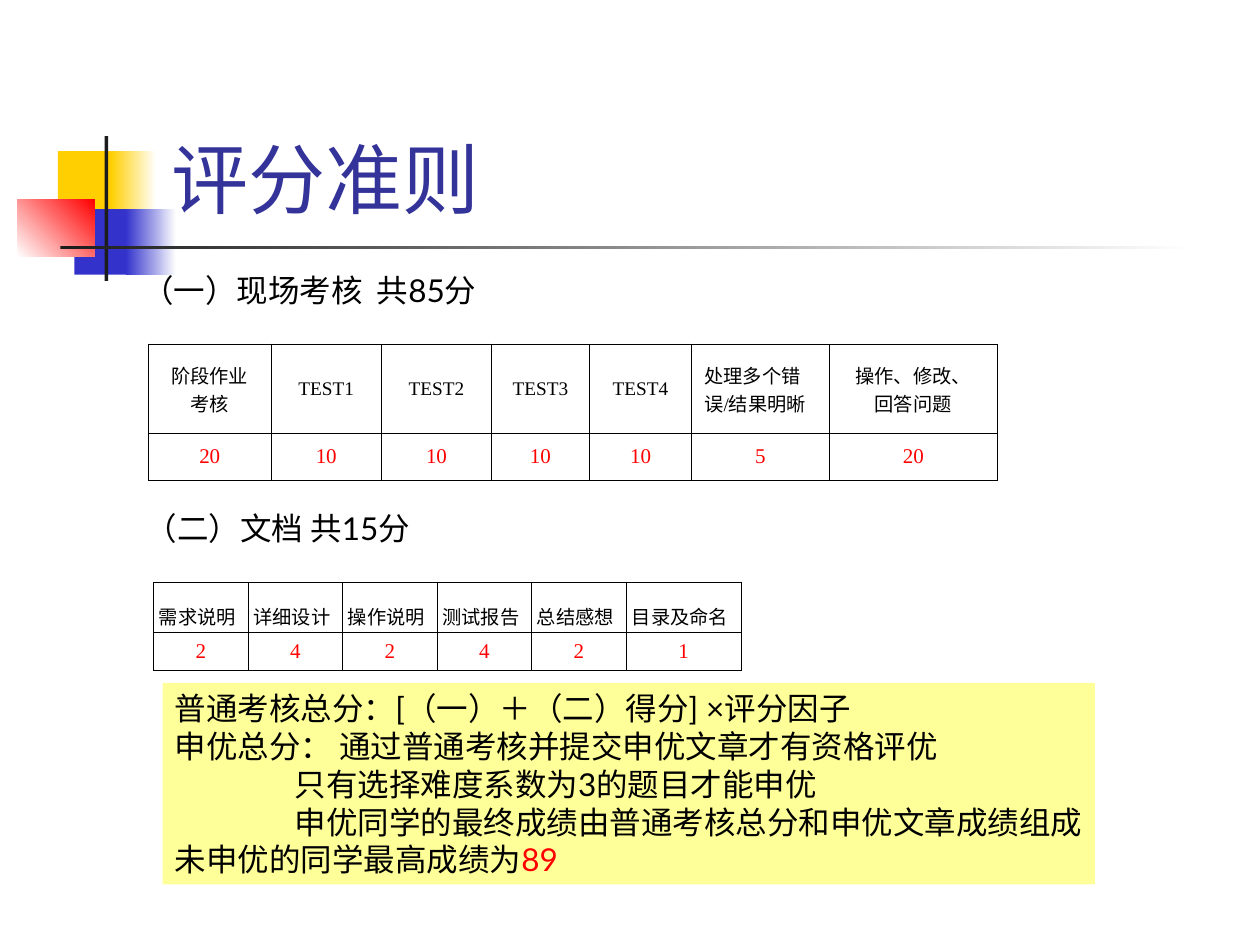
from dataclasses import dataclass

from lxml.etree import SubElement
from pptx import Presentation
from pptx.dml.color import RGBColor
from pptx.enum.shapes import MSO_SHAPE
from pptx.enum.text import MSO_ANCHOR, MSO_AUTO_SIZE, PP_ALIGN
from pptx.oxml.ns import qn
from pptx.util import Inches, Pt

CJK = "Noto Sans CJK SC"
BLACK, RED, WHITE = "000000", "FF0000", "FFFFFF"
YELLOW, BLUE, DARK = "FFCF01", "3333CC", "1C1C1C"


@dataclass
class Run:
    text: str
    size: float = 18
    font: str = "Lato"
    color: str = BLACK


@dataclass
class Block:
    box: tuple
    start: str
    end: str = ""
    angle: float = 0


@dataclass
class Label:
    box: tuple
    text: str


@dataclass
class Grid:
    left: float
    top: float
    cols: list
    rows: list
    margin: float
    fill: str
    cells: list


def rgb(color: str) -> RGBColor:
    return RGBColor.from_string(color)


def apply(target, values: dict) -> None:
    for name, value in values.items():
        setattr(target, name, value)


def place(box: tuple) -> list:
    return [Inches(v) for v in box]


def margins(side: float) -> dict:
    return {"margin_left": Inches(side), "margin_right": Inches(side),
            "margin_top": Inches(0.05), "margin_bottom": Inches(0.05)}


def write(tf, lines: list, align=PP_ALIGN.LEFT) -> None:
    for i, runs in enumerate(lines):
        p = tf.paragraphs[0] if i == 0 else tf.add_paragraph()
        p.alignment = align
        for item in runs:
            r = p.add_run()
            r.text = item.text
            apply(r.font, {"size": Pt(item.size), "name": item.font, "bold": False})
            r.font.color.rgb = rgb(item.color)
            SubElement(r.font._element, qn("a:ea")).set("typeface", CJK)


def add_block(s, block: Block):
    sp = s.shapes.add_shape(MSO_SHAPE.RECTANGLE, *place(block.box))
    sp.shadow.inherit = False
    sp.line.fill.background()
    if block.end:
        sp.fill.gradient()
        sp.fill.gradient_angle = block.angle
        for stop, color in zip(sp.fill.gradient_stops, (block.start, block.end)):
            stop.color.rgb = rgb(color)
            stop.position = float(color == block.end)
    else:
        sp.fill.solid()
        sp.fill.fore_color.rgb = rgb(block.start)
    return sp


def add_label(s, label: Label) -> None:
    tf = s.shapes.add_textbox(*place(label.box)).text_frame
    apply(tf, {"word_wrap": True, "vertical_anchor": MSO_ANCHOR.MIDDLE, **margins(0.1)})
    write(tf, [[Run(label.text)]])


def add_borders(cell) -> None:
    tc_pr = cell._tc.get_or_add_tcPr()
    for i, side in enumerate(("lnL", "lnR", "lnT", "lnB")):
        ln = tc_pr.makeelement(qn(f"a:{side}"), {"w": str(Pt(0.45))})
        fill = SubElement(ln, qn("a:solidFill"))
        SubElement(fill, qn("a:srgbClr")).set("val", BLACK)
        tc_pr.insert(i, ln)


def add_grid(s, grid: Grid) -> None:
    box = (grid.left, grid.top, sum(grid.cols), sum(grid.rows))
    table = s.shapes.add_table(len(grid.rows), len(grid.cols), *place(box)).table
    apply(table, {"first_row": False, "horz_banding": False})
    for col, width in zip(table.columns, grid.cols):
        col.width = Inches(width)
    for row, height, contents in zip(table.rows, grid.rows, grid.cells):
        row.height = Inches(height)
        for cell, (lines, align) in zip(row.cells, contents):
            apply(cell, {"vertical_anchor": MSO_ANCHOR.MIDDLE, **margins(grid.margin)})
            if grid.fill:
                cell.fill.solid()
                cell.fill.fore_color.rgb = rgb(grid.fill)
            else:
                cell.fill.background()
            add_borders(cell)
            write(cell.text_frame, lines, align)


def scores(values: list) -> list:
    return [([[Run(str(v), 12, "Times New Roman", RED)]], PP_ALIGN.CENTER) for v in values]


def exam_header(text: str, align=PP_ALIGN.CENTER) -> tuple:
    return [[Run(line, 11, "Times New Roman")] for line in text.split("\n")], align


def document_header(text: str) -> tuple:
    return [[Run(text, 11, CJK), Run(" ", 18, "Arial")]], PP_ALIGN.CENTER


BLOCKS = [
    Block((0.46, 1.2, 0.48, 0.52), YELLOW),
    Block((0.88, 1.2, 0.36, 0.52), YELLOW, WHITE),
    Block((0.59, 1.66, 0.46, 0.52), BLUE),
    Block((1, 1.66, 0.4, 0.52), BLUE, WHITE),
    Block((0.14, 1.58, 0.61, 0.46), WHITE, RED, 45),
    Block((0.83, 1.08, 0.03, 1.15), DARK),
    Block((0.48, 1.95, 9, 0.03), DARK, WHITE),
]

EXAM = Grid(
    1.18, 2.73, [0.97, 0.88, 0.87, 0.78, 0.81, 1.09, 1.34], [0.71, 0.37], 0.1, WHITE,
    [[exam_header("阶段作业\n考核"),
      *[exam_header(f"TEST{n}") for n in range(1, 5)],
      exam_header("处理多个错误/结果明晰", PP_ALIGN.LEFT),
      exam_header("操作、修改、\n回答问题")],
     scores([20, 10, 10, 10, 10, 5, 20])])

DOCUMENTS = Grid(
    1.22, 4.62, [0.75] * 5 + [0.91], [0.31, 0.23], 0.01, "",
    [[document_header(t) for t in
      ("需求说明", "详细设计", "操作说明", "测试报告", "总结感想", "目录及命名")],
     scores([2, 4, 2, 4, 2, 1])])

RULES = [
    [Run("普通考核总分：[（一）＋（二）得分] ×评分因子")],
    [Run("申优总分： 通过普通考核并提交申优文章才有资格评优")],
    [Run("只有选择难度系数为3的题目才能申优")],
    [Run("申优同学的最终成绩由普通考核总分和申优文章成绩组成")],
    [Run("未申优的同学最高成绩为"), Run("89", color=RED)],
]


def add_rules(s) -> None:
    tf = add_block(s, Block((1.29, 5.42, 7.4, 1.6), "FFFF99")).text_frame
    apply(tf, {"word_wrap": False, "vertical_anchor": MSO_ANCHOR.MIDDLE, **margins(0.1)})
    write(tf, RULES)
    for p in tf.paragraphs[2:4]:
        p._p.get_or_add_pPr().set("marL", str(Inches(0.95)))


def add_title(s) -> None:
    title = s.shapes.title
    apply(title, dict(zip(("left", "top", "width", "height"), place((1.26, 0.23, 8.52, 1.6)))))
    apply(title.text_frame, {"vertical_anchor": MSO_ANCHOR.BOTTOM, "word_wrap": True,
                             "auto_size": MSO_AUTO_SIZE.NONE, **margins(0.1)})
    write(title.text_frame, [[Run("评分准则", 44, color="333399")]])


def main() -> None:
    prs = Presentation()
    apply(prs, {"slide_width": Inches(10), "slide_height": Inches(7.5)})
    s = prs.slides.add_slide(prs.slide_layouts[5])
    for block in BLOCKS:
        add_block(s, block)
    add_title(s)
    add_grid(s, EXAM)
    add_rules(s)
    add_label(s, Label((1.03, 2.1, 2.85, 0.4), "（一）现场考核  共85分"))
    add_grid(s, DOCUMENTS)
    add_label(s, Label((1.06, 3.99, 2.3, 0.4), "（二）文档 共15分"))
    prs.save("out.pptx")


if __name__ == "__main__":
    main()
